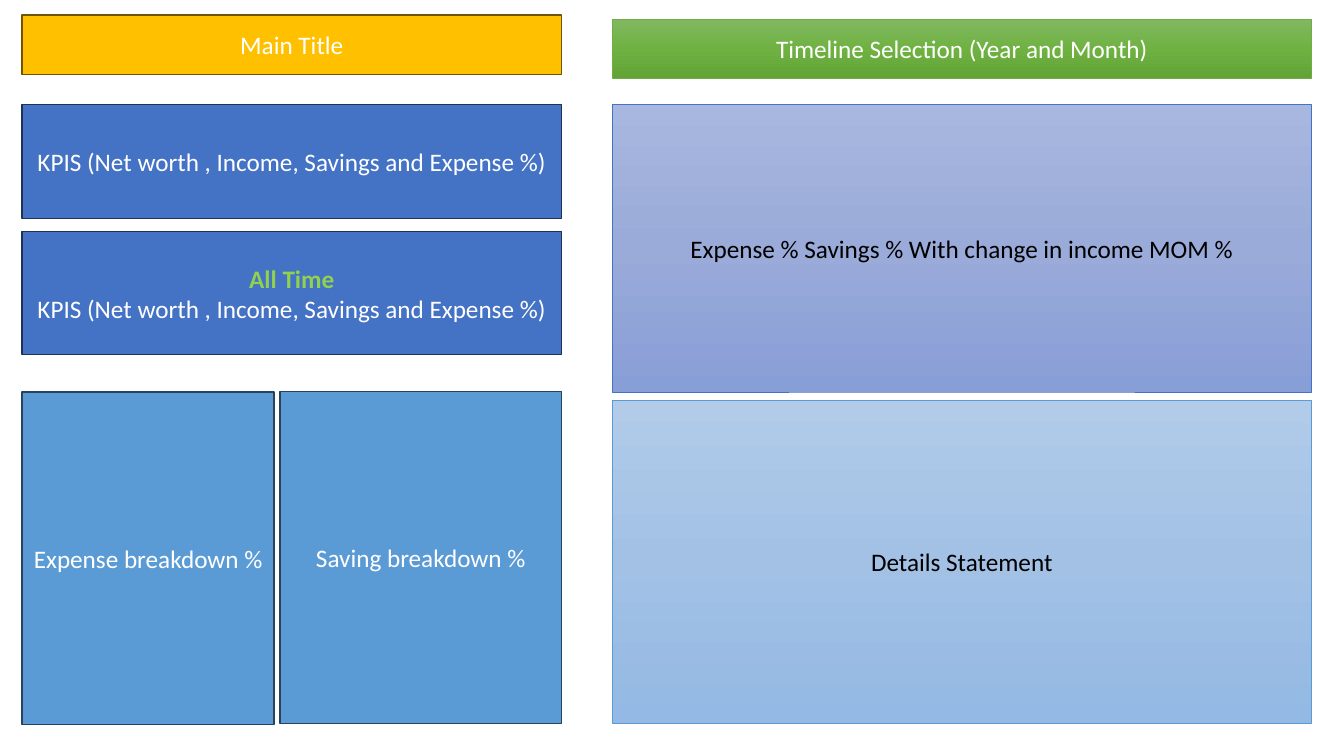
from copy import deepcopy

from pptx import Presentation
from pptx.dml.color import RGBColor
from pptx.enum.shapes import MSO_SHAPE
from pptx.enum.text import MSO_ANCHOR, PP_ALIGN
from pptx.oxml.ns import qn
from pptx.util import Cm, Pt

RECTANGLE = MSO_SHAPE.RECTANGLE
MIDDLE = MSO_ANCHOR.MIDDLE
CENTER = PP_ALIGN.CENTER

WHITE = RGBColor(0xFF, 0xFF, 0xFF)
BLACK = RGBColor(0x00, 0x00, 0x00)
GOLD = RGBColor(0xFF, 0xC0, 0x00)
GOLD_EDGE = RGBColor(0x70, 0x54, 0x00)
BLUE = RGBColor(0x44, 0x72, 0xC4)
BLUE_EDGE = RGBColor(0x1E, 0x32, 0x56)
SKY = RGBColor(0x5B, 0x9B, 0xD5)
SKY_EDGE = RGBColor(0x28, 0x44, 0x5D)
GREEN = RGBColor(0x70, 0xAD, 0x47)
LIME = RGBColor(0x92, 0xD0, 0x50)
GREEN_FADE = (RGBColor(0x81, 0xB8, 0x61), RGBColor(0x6F, 0xB2, 0x42), RGBColor(0x62, 0xA3, 0x36))
BLUE_FADE = (RGBColor(0xA8, 0xB7, 0xDF), RGBColor(0x9A, 0xAB, 0xD9), RGBColor(0x88, 0x9E, 0xD7))
SKY_FADE = (RGBColor(0xB1, 0xCB, 0xE9), RGBColor(0xA3, 0xC1, 0xE5), RGBColor(0x93, 0xB9, 0xE4))

KPI_TEXT = "KPIS (Net worth , Income, Savings and Expense %)"
LEFT_COLUMN = (0.56, 0.38, 13.59, 17.88)
RIGHT_COLUMN = (15.44, 0.48, 17.6, 17.75)


def add_span(para, text, color, bold=False):
    span = para.add_run()
    span.text = text
    span.font.color.rgb = color
    for name, value in {"name": "Calibri", "size": Pt(18), "bold": bold}.items():
        setattr(span.font, name, value)


def fill_gradient(panel, colors):
    """Fade evenly from top to bottom through three colours."""
    panel.fill.gradient()
    panel.fill.gradient_angle = 270
    first_stop = panel._element.spPr.find(".//" + qn("a:gs"))
    first_stop.addnext(deepcopy(first_stop))
    for index, (stop, color) in enumerate(zip(panel.fill.gradient_stops, colors)):
        stop.position = index / 2
        stop.color.rgb = color


def add_panel(page, box, text, fill, edge, color=WHITE, heading=None):
    panel = page.shapes.add_shape(RECTANGLE, *(Cm(length) for length in box))
    panel.shadow.inherit = False
    if isinstance(fill, RGBColor):
        panel.fill.solid()
        panel.fill.fore_color.rgb = fill
        panel.line.width = Pt(1)
    else:
        fill_gradient(panel, fill)
        panel.line.width = Pt(0.5)
    panel.line.color.rgb = edge

    frame = panel.text_frame
    for name, value in {"word_wrap": True, "vertical_anchor": MIDDLE}.items():
        setattr(frame, name, value)
    para = frame.paragraphs[0]
    para.alignment = CENTER
    if heading:
        add_span(para, heading, LIME, bold=True)
        para.add_line_break()
    add_span(para, text, color)


def add_summary_column(page, box):
    left, top, width, height = box
    # Title and key figures
    add_panel(page, (left, top, width, 1.5), "Main Title", GOLD, GOLD_EDGE)
    add_panel(page, (left, top + 2.26, width, 2.87), KPI_TEXT, BLUE, BLUE_EDGE)
    add_panel(page, (left, top + 5.46, width, 3.1), KPI_TEXT, BLUE, BLUE_EDGE,
              heading="All Time")
    # Breakdowns side by side
    depth = 8.38
    add_panel(page, (left, top + height - depth, 6.35, depth),
              "Expense breakdown %", SKY, SKY_EDGE)
    add_panel(page, (left + 6.5, top + height - depth - 0.02, width - 6.5, depth),
              "Saving breakdown %", SKY, SKY_EDGE)


def add_detail_column(page, box):
    left, top, width, height = box
    # Period filter
    add_panel(page, (left, top, width, 1.5),
              "Timeline Selection (Year and Month)", GREEN_FADE, GREEN)
    # Monthly trend and statement
    add_panel(page, (left, top + 2.16, width, 7.24),
              "Expense % Savings % With change in income MOM %", BLUE_FADE, BLUE, BLACK)
    add_panel(page, (left, top + 9.6, width, height - 9.6),
              "Details Statement", SKY_FADE, SKY, BLACK)


def main():
    deck = Presentation()
    deck.slide_width, deck.slide_height = Cm(33.87), Cm(19.05)
    page = deck.slides.add_slide(deck.slide_layouts[6])
    add_summary_column(page, LEFT_COLUMN)
    add_detail_column(page, RIGHT_COLUMN)
    deck.save("out.pptx")


if __name__ == "__main__":
    main()
